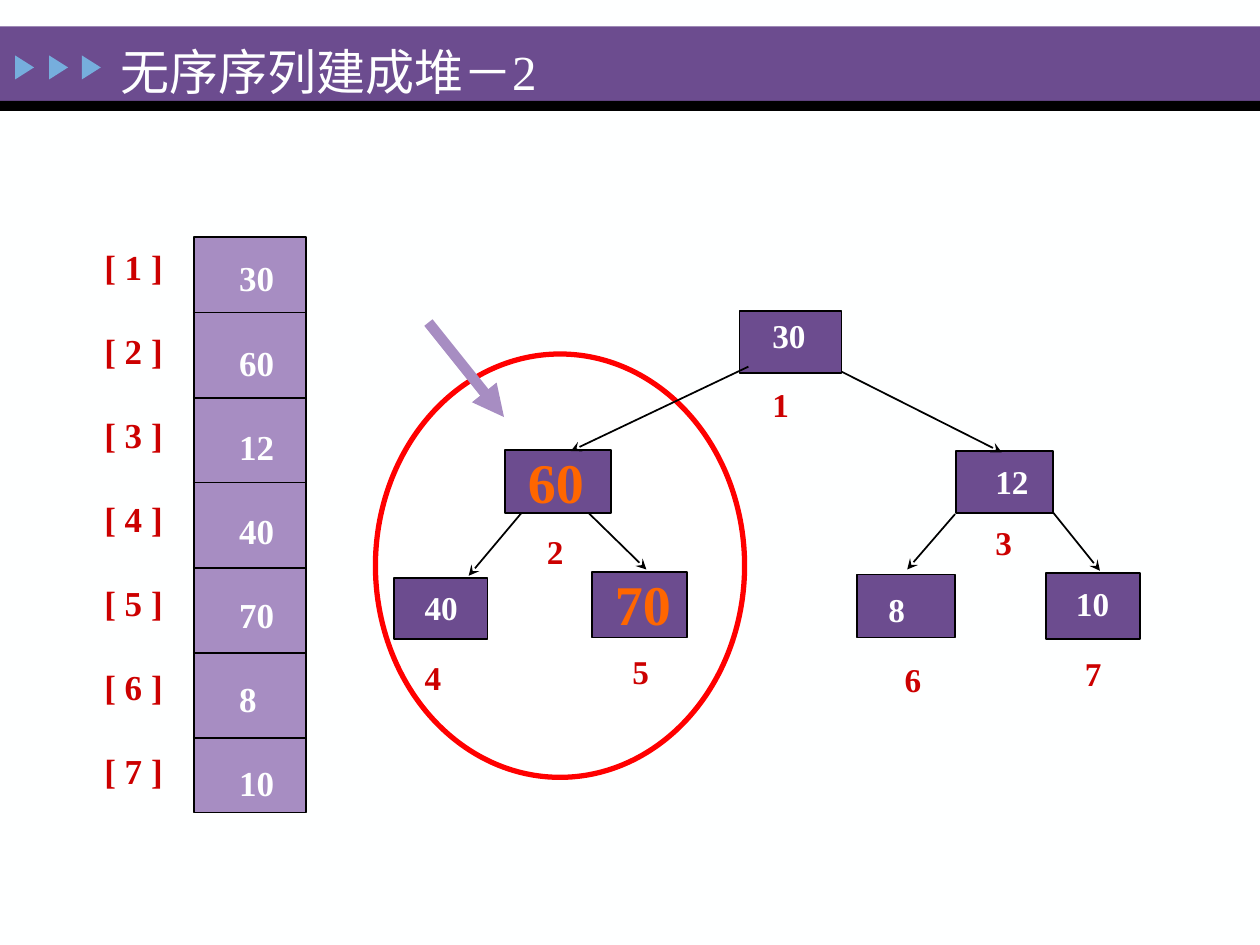
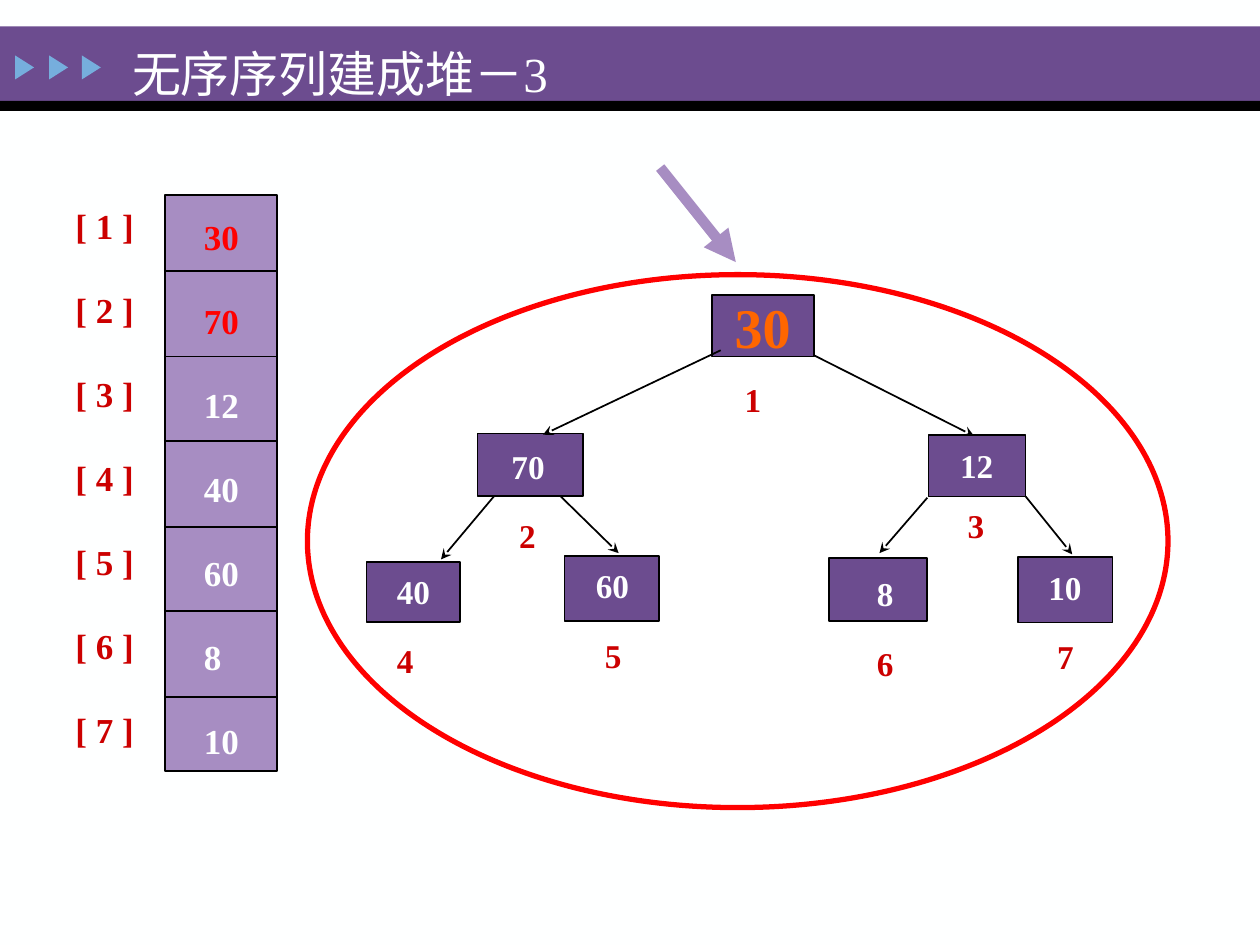
from lxml import etree
from pptx import Presentation
from pptx import util as u
from pptx.dml.color import RGBColor
from pptx.enum import shapes, text
from pptx.oxml import ns

PX = u.Inches(1) // 100
FONT = "Times New Roman"
PURPLE, LILAC, SKY = "6C4C8F", "A78DC2", "76AEDD"
WHITE, PAPER, BLACK = "FFFFFF", "FEFFFF", "000000"
RED, INDEX, ORANGE = "FF0000", "CC0000", "FF6600"
SHAPE = shapes.MSO_SHAPE

# Box of each tree node, place of its text, indent of its index
NODES = [
    ((587, 247, 81, 49), (598, 246), 7),
    ((401, 357, 84, 50), (413, 363), 13),
    ((759, 358, 77, 49), (775, 362), 7),
    ((313, 459, 74, 48), (329, 462), 0),
    ((470, 454, 75, 52), (487, 458), 7),
    ((680, 456, 78, 50), (690, 464), 20),
    ((830, 455, 75, 52), (846, 459), 7),
]
# Arrows from parent to child
EDGES = [
    (594, 291, 453, 358), (668, 295, 795, 359),
    (414, 407, 372, 457), (467, 407, 513, 452),
    (758, 408, 720, 452), (836, 407, 873, 453),
]


def color(code):
    return RGBColor.from_string(code)


def px(*sizes):
    return [n * PX for n in sizes]


class Deck:
    def __init__(self):
        self.file = Presentation()
        self.file.slide_width, self.file.slide_height = px(1000, 750)
        self.slide = None

    def start(self, title, x, y):
        """Add a slide with its bands, markers and title."""
        self.slide = self.file.slides.add_slide(self.file.slide_layouts[6])
        back = self.slide.background.fill
        back.solid()
        back.fore_color.rgb = color(PAPER)
        self.shape(SHAPE.RECTANGLE, (0, 21, 1000, 59), PURPLE)
        self.shape(SHAPE.RECTANGLE, (0, 80, 1000, 8), BLACK)
        for left in (10, 37, 63):
            mark = self.shape(SHAPE.ISOSCELES_TRIANGLE, (left, 46, 19, 15), SKY)
            mark.rotation = 90
        frame = self.frame((x, y, 446, 58), 10)
        self.para(frame, title, 28, PAPER, bold=False, lead=1.25)

    def shape(self, kind, box, fill, line=None, width=1):
        item = self.slide.shapes.add_shape(kind, *px(*box))
        item.shadow.inherit = False
        item.fill.solid()
        item.fill.fore_color.rgb = color(fill)
        if line:
            item.line.color.rgb = color(line)
            item.line.width = u.Pt(width)
        else:
            item.line.fill.background()
        return item

    def line(self, ends, ink=BLACK, width=1, tip=None):
        item = self.slide.shapes.add_connector(
            shapes.MSO_CONNECTOR.STRAIGHT, *px(*ends))
        item.line.color.rgb = color(ink)
        item.line.width = u.Pt(width)
        if tip:
            tail = etree.SubElement(item.line._get_or_add_ln(), ns.qn("a:tailEnd"))
            tail.set("type", tip)
        etree.SubElement(item._element.spPr, ns.qn("a:effectLst"))

    def frame(self, box, pad):
        """Add a text box and return its empty text frame."""
        frame = self.slide.shapes.add_textbox(*px(*box)).text_frame
        frame.word_wrap = True
        frame.vertical_anchor = text.MSO_ANCHOR.TOP
        frame.margin_left = frame.margin_right = pad * PX
        frame.margin_top = frame.margin_bottom = pad // 2 * PX
        return frame

    def para(self, frame, words, size, ink, bold=True, dent=0, gap=0, lead=None):
        """Fill the first paragraph or add one; gap counts only from the second."""
        para = frame.paragraphs[0]
        if para.runs:
            para = frame.add_paragraph()
            para.space_before = u.Pt(gap)
        para.line_spacing = lead or u.Pt(size * 1.2)
        if dent:
            para._p.get_or_add_pPr().set("marL", str(dent * PX))
        run = para.add_run()
        run.text = words
        run.font.name, run.font.size, run.font.bold = FONT, u.Pt(size), bold
        run.font.color.rgb = color(ink)

    def array(self, x, y, dent, values, marked):
        """Draw the column of cells with an index beside each."""
        self.shape(SHAPE.RECTANGLE, (x, y, 89, 457), LILAC, BLACK)
        for i in range(len(values) - 1):
            row = y + round(60 + 67.6 * i)
            self.line((x - 1, row, x + 90, row))
        left = self.frame((x - 81, y + 2, 80, 448), 10)
        cells = self.frame((x + dent, y + 11, 60, 448), 10)
        for i, value in enumerate(values):
            self.para(left, f"[ {i + 1} ]", 20, INDEX, gap=24)
            ink = RED if i < marked else PAPER
            self.para(cells, value, 20, ink, gap=24)

    def tree(self, dx, dy, rows, hot):
        """Draw the heap; hot holds the indexes of the large values."""
        for (x, y, w, h), _, _ in NODES:
            self.shape(SHAPE.RECTANGLE, (x + dx, y + dy, w, h), PURPLE, BLACK)
        for x1, y1, x2, y2 in EDGES:
            self.line((x1 + dx, y1 + dy, x2 + dx, y2 + dy), tip="stealth")
        for i, (node, row) in enumerate(zip(NODES, rows), 1):
            (left, top, _, _), (x, y), side = node
            value, dent, gap = row
            if i in hot:
                big = self.frame((left + dx - 1, top + dy - 6, 103, 62), 8)
                self.para(big, value, 32, ORANGE, dent=11)
                y += round((19 * 1.2 + gap) * 100 / 72)
            note = self.frame((x + dx, y + dy, 70, 40 if i in hot else 96), 8)
            if i not in hot:
                self.para(note, value, 19, PAPER, dent=dent)
            self.para(note, str(i), 19, INDEX, dent=side, gap=gap)

    def focus(self, box):
        self.shape(SHAPE.OVAL, box, WHITE, RED, 3)

    def pointer(self, x, y):
        self.line((x, y, x + 60, y + 75), LILAC, 6, "triangle")


def main():
    deck = Deck()

    rows = [("30", 7, 17), ("60", 7, 17), ("12", 7, 12), ("40", 0, 17),
            ("70", 0, 17), ("8", 7, 17), ("10", 0, 17)]
    deck.start("无序序列建成堆－2", 86, 16)
    deck.focus((298, 281, 293, 336))
    deck.tree(0, 0, rows, {2, 5})
    deck.array(154, 188, 26, [row[0] for row in rows], 0)
    deck.pointer(340, 256)

    rows = [("30", 7, 23), ("70", 7, 17), ("12", 1, 12), ("40", 0, 17),
            ("60", 0, 17), ("8", 20, 17), ("10", 0, 17)]
    deck.start("无序序列建成堆－3", 95, 18)
    deck.focus((244, 218, 683, 423))
    deck.array(131, 155, 21, [row[0] for row in rows], 2)
    deck.tree(-22, -13, rows, {1})
    deck.pointer(524, 133)

    deck.file.save("out.pptx")


if __name__ == "__main__":
    main()
